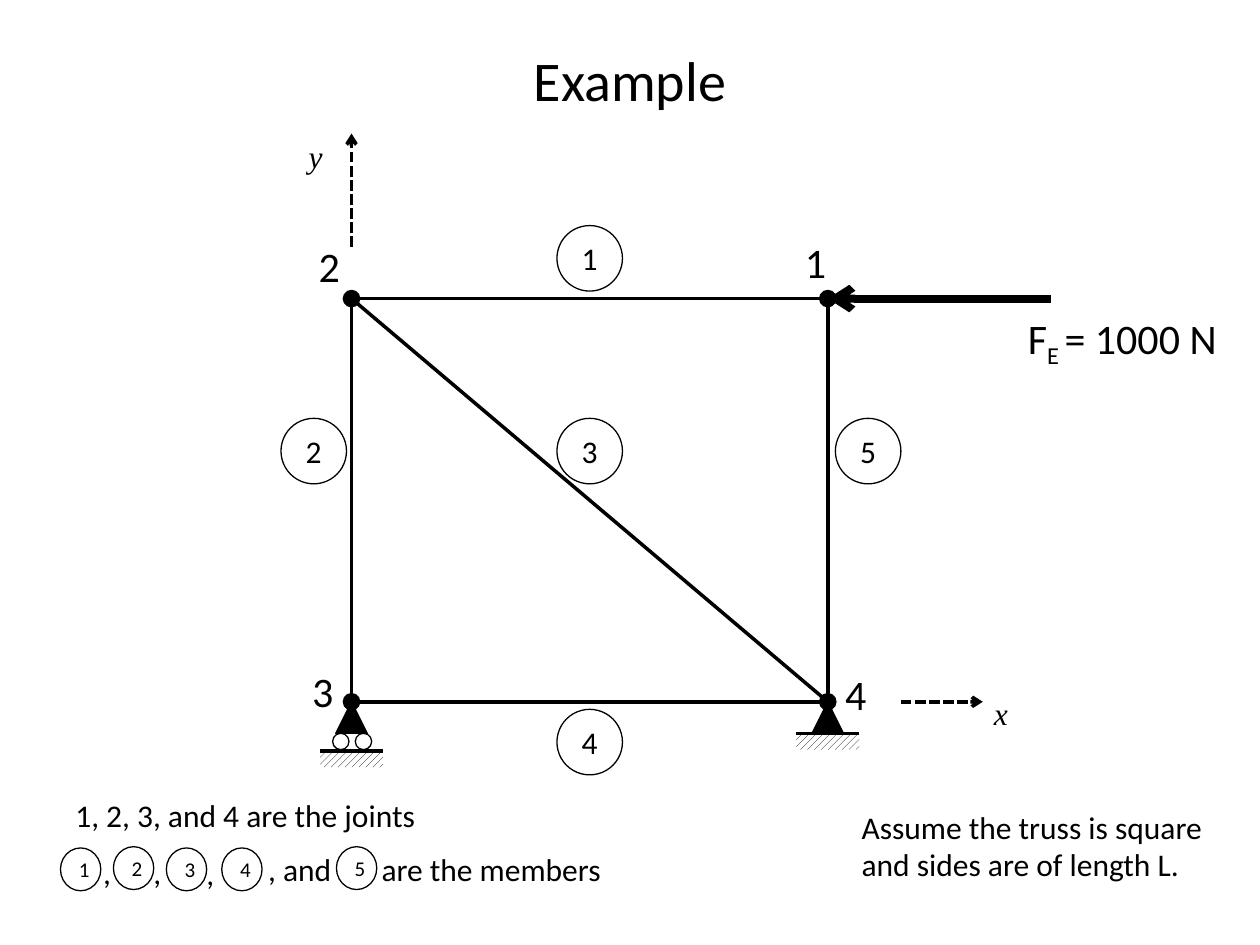
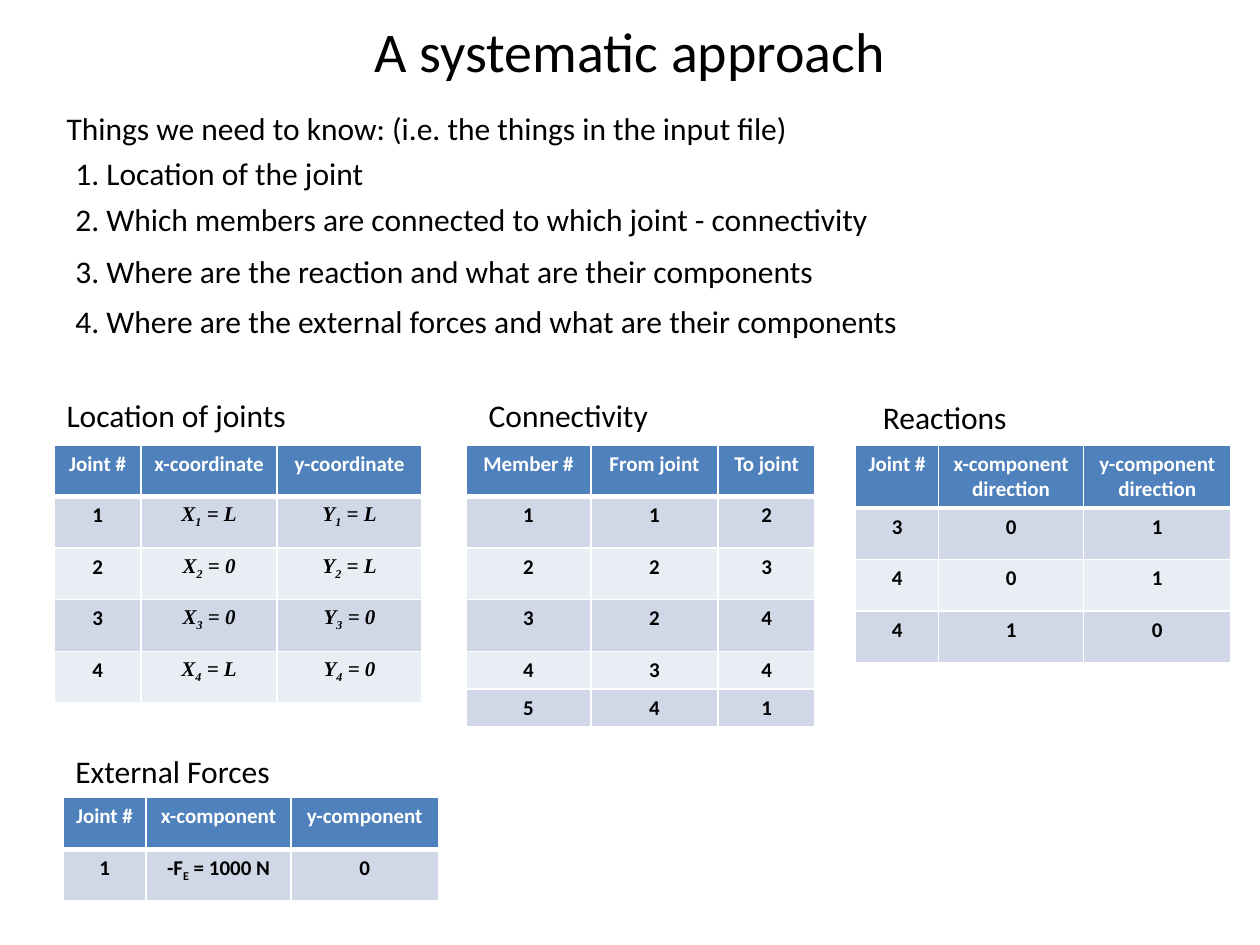
from dataclasses import dataclass
from typing import NamedTuple

from lxml import etree
from pptx import Presentation
from pptx import util as u
from pptx.dml.color import RGBColor
from pptx.enum import dml, shapes, text
from pptx.oxml import ns

KIND = shapes.MSO_SHAPE


@dataclass(frozen=True)
class Theme:
    ink: str = "000000"
    paper: str = "FFFFFF"
    head: str = "4F81BD"
    bands: tuple[str, str] = ("D0D8E8", "E9EDF4")
    sans: str = "Calibri"
    serif: str = "Times New Roman"
    title: int = 32
    joint: int = 24
    body: int = 18
    small: int = 12
    thin: float = 0.75
    bar: float = 2
    force: float = 4.5


class Point(NamedTuple):
    x: float
    y: float


class Label(NamedTuple):
    words: str
    x: float
    y: float
    w: float
    h: float = 0.4
    size: int = 18
    serif: bool = False
    wrap: bool = False


class Ring(NamedTuple):
    words: str
    x: float
    y: float
    w: float = 0.52
    h: float = 0.52
    size: int = 18


class Grid(NamedTuple):
    name: Label
    x: float
    y: float
    cols: tuple[float, ...]
    rows: tuple[tuple[str, ...], ...]
    low: int = 0  # count of low rows at the foot


T = Theme()
ROW, LOW = 0.41, 0.29

LEFT, RIGHT, TOP, FOOT = 2.79, 6.57, 2.37, 5.57
JOINTS = {1: Point(RIGHT, TOP), 2: Point(LEFT, TOP),
          3: Point(LEFT, FOOT), 4: Point(RIGHT, FOOT)}
BARS = ((3, 4), (2, 1), (2, 3), (1, 4), (2, 4))
DOT, PIN, BASE = 0.13, 0.25, 0.5

RINGS = (
    Ring("1", 4.42, 1.79), Ring("2", 2.23, 3.32), Ring("3", 4.42, 3.32),
    Ring("4", 4.42, 5.63), Ring("5", 6.63, 3.32),
    *(Ring(str(n), x, y, 0.32, 0.34, T.small) for n, (x, y) in enumerate(
        ((0.48, 6.73), (0.9, 6.72), (1.32, 6.73), (1.76, 6.73), (2.67, 6.72)), 1)),
)
LABELS = (
    Label("F|E |= 1000 N", 8.06, 2.43, 1.74, 0.5, T.joint),
    *(Label(str(n), x, y, 0.37, 0.5, T.joint) for n, (x, y) in enumerate(
        ((6.29, 1.83), (2.43, 1.86), (2.38, 5.23), (6.61, 5.26)), 1)),
    Label("1, 2, 3, and 4 are the joints", 0.5, 6.27, 2.94),
    *(Label(",", x, y, 0.26) for x, y in ((0.72, 6.72), (1.12, 6.72), (1.54, 6.73))),
    Label(", and", 2.03, 6.7, 0.71),
    Label("are the members", 2.93, 6.7, 1.97),
    Label("Assume the truss is square and sides are of length L.",
          6.74, 6.36, 2.9, 1.01, wrap=True),
    Label("x", 7.79, 5.46, 0.38, serif=True),
    Label("y", 2.35, 1.04, 0.38, serif=True),
)
NEEDS = (
    Label("Things we need to know: (i.e. the things in the input file)", 0.43, 0.82, 5.99),
    Label("1. Location of the joint", 0.5, 1.17, 2.52),
    Label("2. Which members are connected to which joint - connectivity", 0.5, 1.54, 6.57),
    Label("3. Where are the reaction and what are their components", 0.5, 1.95, 6.13),
    Label("4. Where are the external forces and what are their components", 0.5, 2.35, 6.74),
)
GRIDS = (
    Grid(Label("Location of joints", 0.43, 3.09, 1.97), 0.43, 3.53, (0.69, 1.08, 1.15), (
        ("Joint #", "x-coordinate", "y-coordinate"),
        *((str(n), f"X|{n}| = {x}", f"Y|{n}| = {y}")
          for n, (x, y) in enumerate(("LL", "0L", "00", "L0"), 1)))),
    Grid(Label("Connectivity", 3.78, 3.09, 1.48), 3.7, 3.53, (0.99, 1.01, 0.77), (
        ("Member #", "From joint", "To joint"),
        *map(tuple, ("112", "223", "324", "434", "541"))), low=2),
    Grid(Label("Reactions", 6.91, 3.11, 1.2), 6.79, 3.53, (0.66, 1.15, 1.17), (
        ("Joint #", "x-component direction", "y-component direction"),
        *map(tuple, ("301", "401", "410")))),
    Grid(Label("External Forces", 0.5, 5.92, 1.77), 0.5, 6.33, (0.66, 1.15, 1.17), (
        ("Joint #", "x-component", "y-component"), ("1", "-F|E| = 1000 N", "0"))),
)


def rgb(code: str) -> RGBColor:
    return RGBColor.from_string(code)


def area(x: float, y: float, w: float, h: float) -> tuple:
    return u.Inches(x), u.Inches(y), u.Inches(w), u.Inches(h)


def tag(parent, name: str, **attrs: str):
    return etree.SubElement(parent, ns.qn(f"a:{name}"), attrs)


def write(frame, words: str, size: int, color: str = T.ink, serif: bool = False,
          bold: bool = False, center: bool = False) -> None:
    """Add one paragraph; every second part between bars is a subscript."""
    para = frame.paragraphs[0]
    para.alignment = text.PP_ALIGN.CENTER if center else text.PP_ALIGN.LEFT
    for n, part in enumerate(words.split("|")):
        run = para.add_run()
        run.text = part
        font = run.font
        font.name = T.serif if serif else T.sans
        font.size, font.bold, font.italic = u.Pt(size), bold, serif
        font.color.rgb = rgb(color)
        if n % 2:
            font._element.set("baseline", "-25000")


def title(slide, words: str, y: float, h: float) -> None:
    frame = slide.shapes.add_textbox(*area(0.5, y, 9, h)).text_frame
    frame.word_wrap = True
    frame.vertical_anchor = text.MSO_ANCHOR.MIDDLE
    write(frame, words, T.title, center=True)


def label(slide, item: Label) -> None:
    frame = slide.shapes.add_textbox(*area(item.x, item.y, item.w, item.h)).text_frame
    frame.word_wrap = item.wrap
    frame.auto_size = text.MSO_AUTO_SIZE.SHAPE_TO_FIT_TEXT
    write(frame, item.words, item.size, serif=item.serif)


def line(slide, start: Point, end: Point, width: float = T.bar,
         arrow: bool = False, dash: bool = False) -> None:
    item = slide.shapes.add_connector(
        shapes.MSO_CONNECTOR.STRAIGHT, *(u.Inches(v) for v in (*start, *end)))
    item.line.color.rgb = rgb(T.ink)
    item.line.width = u.Pt(width)
    props = item.element.spPr
    stroke = props.find(ns.qn("a:ln"))
    if dash:
        tag(stroke, "prstDash", val="sysDash")
    if arrow:
        tag(stroke, "tailEnd", type="arrow")
    tag(props, "effectLst")


def shape(slide, kind, x: float, y: float, w: float, h: float, solid: bool = False):
    item = slide.shapes.add_shape(kind, *area(x, y, w, h))
    item.shadow.inherit = False
    item.line.color.rgb = rgb(T.ink)
    item.line.width = u.Pt(T.thin)
    if solid:
        item.fill.solid()
        item.fill.fore_color.rgb = rgb(T.ink)
    else:
        item.fill.background()
    return item


def ring(slide, item: Ring) -> None:
    frame = shape(slide, KIND.OVAL, item.x, item.y, item.w, item.h).text_frame
    frame.vertical_anchor = text.MSO_ANCHOR.MIDDLE
    write(frame, item.words, item.size, center=True)


def ground(slide, x: float, y: float) -> None:
    """Hatched strip centred on x, with a bar along its top."""
    left = x - BASE / 2
    strip = shape(slide, KIND.RECTANGLE, left, y, BASE, DOT)
    strip.line.fill.background()
    strip.fill.patterned()
    strip.fill.pattern = dml.MSO_PATTERN.WIDE_UPWARD_DIAGONAL
    strip.fill.fore_color.rgb = rgb(T.ink)
    strip.fill.back_color.rgb = rgb(T.paper)
    line(slide, Point(left, y), Point(left + BASE, y))


def pin(slide, joint: Point) -> None:
    shape(slide, KIND.ISOSCELES_TRIANGLE, joint.x - PIN / 2, joint.y, PIN, PIN, True)


def edge(cell, head: bool) -> None:
    props = cell._tc.get_or_add_tcPr()
    for n, side in enumerate("LRTB"):
        width = u.Pt(3 if head and side == "B" else 1)
        stroke = tag(props, f"ln{side}", w=str(width))
        tag(tag(stroke, "solidFill"), "srgbClr", val=T.paper)
        props.insert(n, stroke)


def grid(slide, item: Grid) -> None:
    label(slide, item.name)
    count = len(item.rows)
    highs = [ROW] * (count - item.low) + [LOW] * item.low
    table = slide.shapes.add_table(
        count, len(item.cols), *area(item.x, item.y, sum(item.cols), sum(highs))).table
    for col, width in zip(table.columns, item.cols):
        col.width = u.Inches(width)
    for r, (words, high) in enumerate(zip(item.rows, highs)):
        table.rows[r].height = u.Inches(high)
        head = r == 0
        for c, word in enumerate(words):
            cell = table.cell(r, c)
            cell.margin_left = cell.margin_right = u.Inches(0.07)
            cell.fill.solid()
            cell.fill.fore_color.rgb = rgb(T.head if head else T.bands[(r - 1) % 2])
            edge(cell, head)
            write(cell.text_frame, word, T.small, T.paper if head else T.ink,
                  serif=word[0] in "XY", bold=True, center=True)


def truss(slide) -> None:
    title(slide, "Example", 0, 1.25)
    for start, end in BARS:
        line(slide, JOINTS[start], JOINTS[end])
    line(slide, Point(8.34, TOP), JOINTS[1], T.force, arrow=True)
    for x, y in JOINTS.values():
        shape(slide, KIND.OVAL, x - DOT / 2, y - DOT / 2, DOT, DOT, True)
    seat = FOOT + PIN
    for n in (3, 4):
        pin(slide, JOINTS[n])
    ground(slide, RIGHT, seat)
    ground(slide, LEFT, seat + 0.14)
    for x in (2.64, 2.82):
        shape(slide, KIND.OVAL, x, seat, DOT, DOT)
    for item in RINGS:
        ring(slide, item)
    for item in LABELS:
        label(slide, item)
    line(slide, Point(LEFT, 1.96), Point(LEFT, 1.06), arrow=True, dash=True)
    line(slide, Point(7.15, FOOT), Point(7.8, FOOT), arrow=True, dash=True)


def method(slide) -> None:
    title(slide, "A systematic approach", 0.02, 0.75)
    for item in NEEDS:
        label(slide, item)
    for item in GRIDS:
        grid(slide, item)


def main() -> None:
    deck = Presentation()
    deck.slide_width, deck.slide_height = u.Inches(10), u.Inches(7.5)
    for draw in (truss, method):
        draw(deck.slides.add_slide(deck.slide_layouts[6]))
    deck.save("out.pptx")


if __name__ == "__main__":
    main()
